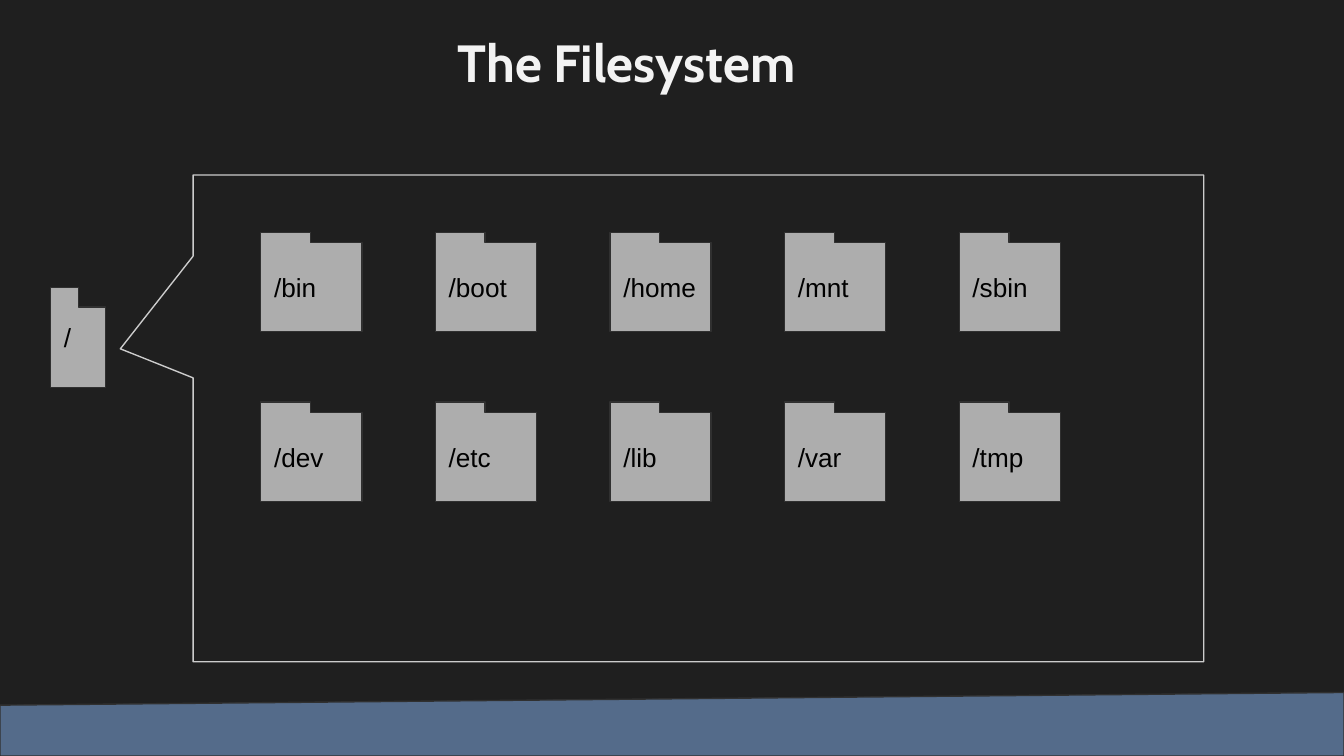
from dataclasses import dataclass

from pptx import Presentation
from pptx.dml.color import RGBColor
from pptx.enum.shapes import MSO_SHAPE
from pptx.enum.text import MSO_ANCHOR, PP_ALIGN
from pptx.util import Cm, Pt


@dataclass(frozen=True)
class Theme:
    background: str = "1F1F1F"
    title: str = "F3F3F3"
    frame: str = "CCCCCC"
    outline: str = "303030"
    band: str = "546B8A"
    folder: str = "ADADAD"
    label: str = "000000"
    title_font: str = "Cabin"
    label_font: str = "Arial"
    title_size: int = 28
    label_size: int = 14
    line_width: float = 0.75


theme = Theme()

presentation = Presentation()
presentation.slide_width, presentation.slide_height = Cm(25.4), Cm(14.29)
slide = presentation.slides.add_slide(presentation.slide_layouts[6])
slide.background.fill.solid()
slide.background.fill.fore_color.rgb = RGBColor.from_string(theme.background)


def add_outlined(preset, left, top, width, height, line, fill=None, adjustments=()):
    shape = slide.shapes.add_shape(preset, Cm(left), Cm(top), Cm(width), Cm(height))
    shape.shadow.inherit = False
    shape.line.color.rgb = RGBColor.from_string(line)
    shape.line.width = Pt(theme.line_width)
    if fill:
        shape.fill.solid()
        shape.fill.fore_color.rgb = RGBColor.from_string(fill)
    else:
        shape.fill.background()
    for index, value in enumerate(adjustments):
        shape.adjustments[index] = value
    return shape


def write(shape, text, font, size, color, align, anchor, bold=False):
    frame = shape.text_frame
    frame.margin_left = frame.margin_right = Cm(0.25)
    frame.margin_top = frame.margin_bottom = Cm(0.25)
    frame.vertical_anchor = anchor
    paragraph = frame.paragraphs[0]
    paragraph.alignment = align
    run = paragraph.add_run()
    run.text = text
    run.font.name = font
    run.font.size = Pt(size)
    run.font.bold = bold
    run.font.color.rgb = RGBColor.from_string(color)


# Callout that opens the root folder
add_outlined(MSO_SHAPE.RECTANGULAR_CALLOUT, 3.65, 3.31, 19.1, 9.2,
             theme.frame, adjustments=(-0.572, -0.143))

# Title
title = slide.shapes.add_textbox(Cm(8.38), Cm(0.33), Cm(6.93), Cm(1.63))
title.text_frame.word_wrap = False
write(title, "The Filesystem", theme.title_font, theme.title_size, theme.title,
      PP_ALIGN.CENTER, MSO_ANCHOR.TOP, bold=True)

# Sloping band at the bottom
add_outlined(MSO_SHAPE.FLOWCHART_MANUAL_INPUT, 0, 13.09, 25.4, 1.2,
             theme.outline, theme.band)

# Folders: the root, then the grid of its directories
directories = [
    ["/bin", "/boot", "/home", "/mnt", "/sbin"],
    ["/dev", "/etc", "/lib", "/var", "/tmp"],
]
folders = [("/", 0.96, 5.44, 1.04, 1.454)]
for row, names in enumerate(directories):
    for column, name in enumerate(names):
        folders.append((name, 4.93 + 3.3 * column, 4.39 + 3.21 * row, 1.91, 0.894))

for name, left, top, width, body in folders:
    folder = add_outlined(MSO_SHAPE.CORNER, left, top, width, 1.88,
                          theme.outline, theme.folder, (body, 0.5))
    write(folder, name, theme.label_font, theme.label_size, theme.label,
          PP_ALIGN.LEFT, MSO_ANCHOR.MIDDLE)

presentation.save("out.pptx")
